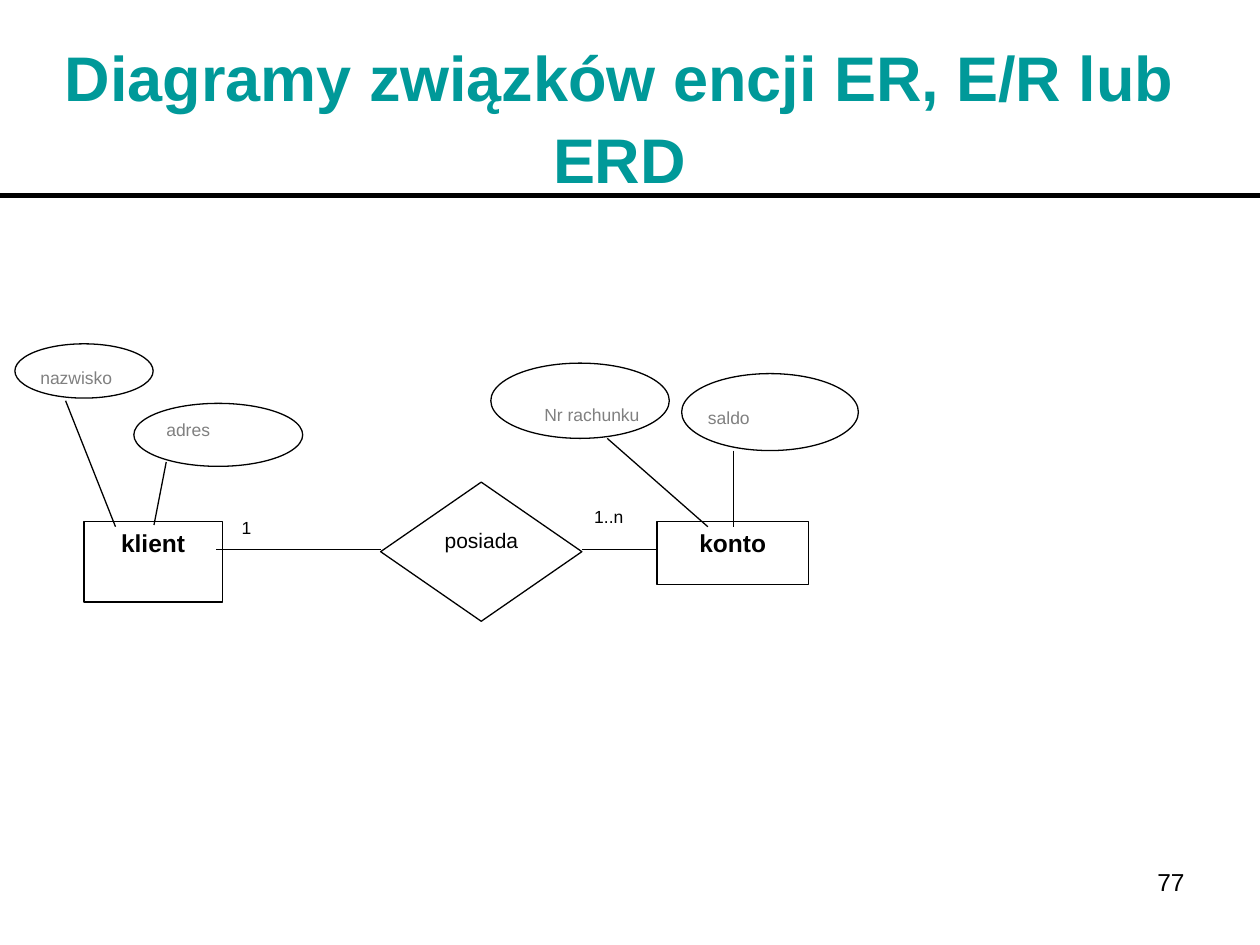
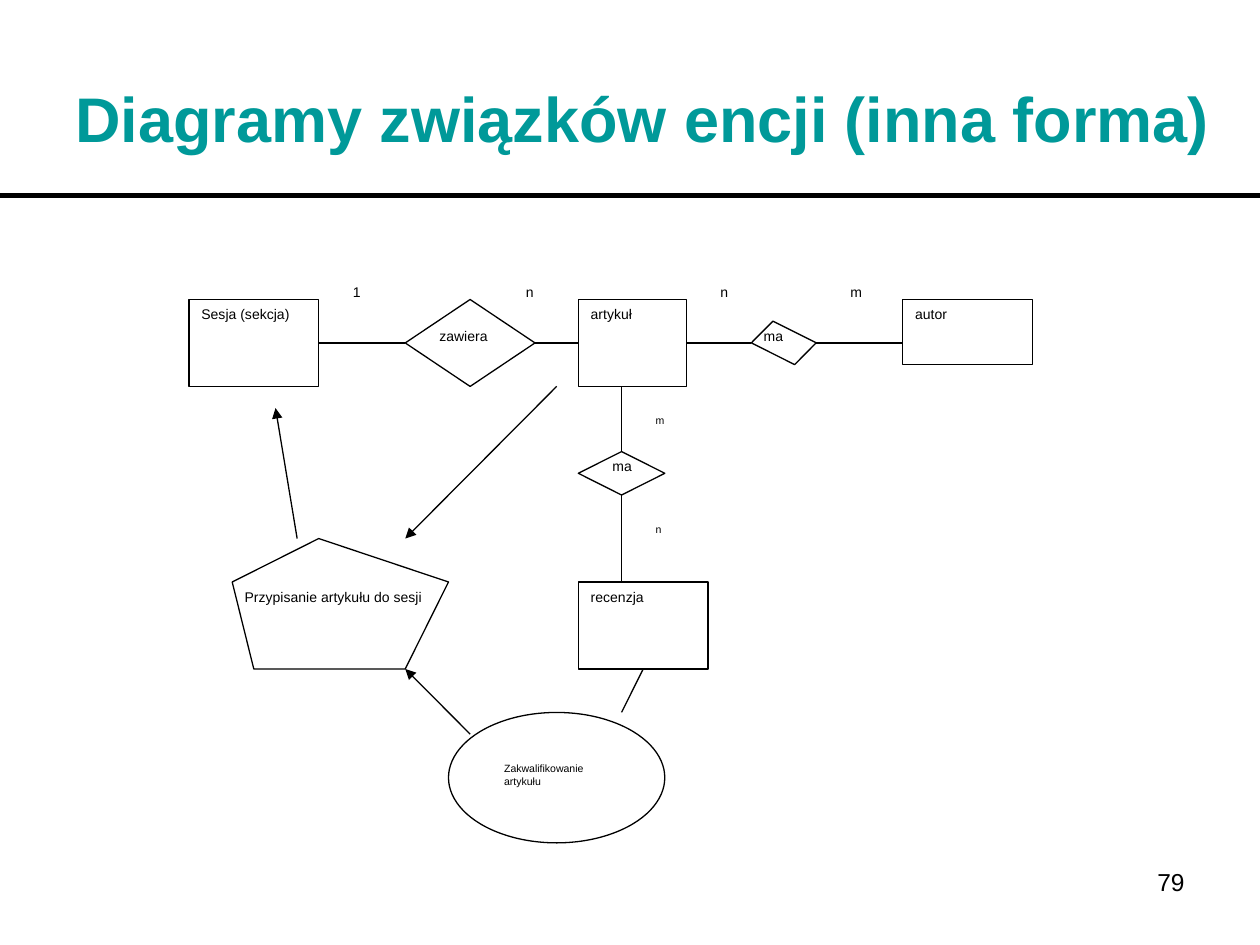
from lxml import etree
from pptx import Presentation
from pptx.dml.color import RGBColor
from pptx.enum import shapes, text
from pptx.oxml import ns
from pptx.util import Pt

COLORS = {"title": "009999", "ink": "000000", "paper": "FFFFFF"}
FONT = "Arial"
SHAPE = shapes.MSO_SHAPE
LEFT, CENTER, RIGHT = text.PP_ALIGN.LEFT, text.PP_ALIGN.CENTER, text.PP_ALIGN.RIGHT

KINDS = {
    "entity": dict(shape=SHAPE.RECTANGLE, line=True, fill=True, sites=True),
    "label": dict(shape=SHAPE.RECTANGLE, line=False, fill=True, sites=False),
    "relation": dict(shape=SHAPE.DIAMOND, line=True, fill=False, sites=True),
    "attribute": dict(shape=SHAPE.OVAL, line=True, fill=True, sites=False, alpha=50),
    "process": dict(shape=SHAPE.OVAL, line=True, fill=True, sites=False),
}

SLIDES = [
    dict(
        title="Diagramy związków encji ER, E/R lub ERD", title_left=0, title_width=708,
        number="77", origin=(0, 0), unit=(1, 1), size=10,
        entity=dict(size=14, bold=True, align=CENTER),
        nodes=[
            ("label", 16, 206, 58, 22, "nazwisko"),
            ("label", 88, 236, 65, 22, "adres"),
            ("label", 304, 227.5, 79, 29, "Nr rachunku"),
            ("label", 397.5, 229, 50, 22, "saldo"),
            ("attribute", 8.5, 196.5, 79, 31, ""),
            ("attribute", 76.5, 230.5, 96.5, 36, ""),
            ("attribute", 280.5, 207.5, 102, 43, ""),
            ("attribute", 389.5, 213.5, 101, 44, ""),
            ("entity", 48, 298, 79, 46, "klient"),
            ("entity", 375.5, 298, 86.5, 36, "konto"),
            ("relation", 217.5, 275.5, 115, 79.5, ""),
            ("label", 247, 298, 57, 28, "posiada", 12),
            ("label", 131, 292, 29, 14.5, "1"),
            ("label", 332.5, 285.5, 36, 22, "1..n"),
        ],
        outlines=[],
        links=[
            ((37.5, 229), (66, 301)), ((95, 264), (88, 300)),
            ((217.5, 314), (123.5, 314)), ((332.5, 314), (375.5, 314)),
            ((347, 250.5), (404.5, 301)), ((419, 257.5), (419, 301)),
        ],
        arrows=[],
    ),
    dict(
        title="Diagramy związków encji (inna forma)", title_left=14.4, title_width=705.6,
        number="79", origin=(108, 158.7), unit=(12.36, 12.42), size=8, entity={},
        nodes=[
            ("entity", 0, 1, 6, 4, "Sesja (sekcja)"),
            ("label", 11, 2, 5, 2, "zawiera"),
            ("entity", 18, 1, 5, 4, "artykuł"),
            ("label", 26, 2, 3, 2, "ma"),
            ("entity", 33, 1, 6, 3, "autor"),
            ("label", 19, 8, 4, 2, "ma"),
            ("entity", 18, 14, 6, 4, "recenzja"),
            ("label", 2, 14, 10, 4, "Przypisanie artykułu do sesji"),
            ("relation", 10, 1, 6, 4, ""),
            ("relation", 18, 8, 4, 2, ""),
            ("label", 7, 0, 2, 2, "1"),
            ("label", 15, 0, 2, 2, "n"),
            ("label", 24, 0, 2, 2, "n"),
            ("label", 30, 0, 2, 2, "m"),
            ("label", 21, 6, 3, 2, "m", 6),
            ("label", 21, 11, 3, 2, "n", 6),
            ("process", 12, 20, 10, 6, ""),
            ("label", 14, 22, 5, 3, "Zakwalifikowanie artykułu", 6),
        ],
        outlines=[
            [(27, 2), (29, 3), (28, 4), (26, 3)],
            [(2, 14), (6, 12), (12, 14), (10, 18), (3, 18)],
        ],
        links=[
            ((6, 3), (10, 3)), ((16, 3), (18, 3)), ((23, 3), (26, 3)), ((29, 3), (33, 3)),
            ((20, 5), (20, 8)), ((20, 10), (20, 14)), ((21, 18), (20, 20)),
        ],
        arrows=[((5, 12), (4, 6)), ((17, 5), (10, 12)), ((13, 21), (10, 18))],
    ),
]


def rgb(name):
    return RGBColor.from_string(COLORS[name])


def write(tf, words, size, color="ink", bold=False, align=LEFT, anchor=text.MSO_ANCHOR.TOP):
    frame = dict(word_wrap=True, auto_size=text.MSO_AUTO_SIZE.NONE, vertical_anchor=anchor,
                 margin_left=Pt(7.2), margin_right=Pt(7.2),
                 margin_top=Pt(3.6), margin_bottom=Pt(3.6))
    for key, value in frame.items():
        setattr(tf, key, value)
    p = tf.paragraphs[0]
    p.alignment = align
    r = p.add_run()
    r.text = words
    for key, value in dict(name=FONT, size=Pt(size), bold=bold).items():
        setattr(r.font, key, value)
    r.font.color.rgb = rgb(color)
    return p


def style(sp, line, fill, alpha=None):
    sp.shadow.inherit = False
    if fill:
        sp.fill.solid()
        sp.fill.fore_color.rgb = rgb("paper")
    else:
        sp.fill.background()
    if alpha:
        color = sp.fill._xPr.find(".//" + ns.qn("a:srgbClr"))
        etree.SubElement(color, ns.qn("a:alpha"), val=str(alpha * 1000))
    if line:
        sp.line.color.rgb = rgb("ink")
        sp.line.width = Pt(0.75)
    else:
        sp.line.fill.background()


def add_line(s, start, end, width=0.75, arrow=False):
    c = s.shapes.add_connector(shapes.MSO_CONNECTOR.STRAIGHT, *start, *end)
    c.line.color.rgb = rgb("ink")
    c.line.width = Pt(width)
    if arrow:
        etree.SubElement(c.line._get_or_add_ln(), ns.qn("a:tailEnd"), type="triangle")
    etree.SubElement(c._element.spPr, ns.qn("a:effectLst"))
    return c


def add_frame(s, data):
    title = s.shapes.title
    place = dict(left=data["title_left"], top=20, width=data["title_width"], height=90)
    for key, value in place.items():
        setattr(title, key, Pt(value))
    p = write(title.text_frame, data["title"], 36, "title", True, CENTER,
              text.MSO_ANCHOR.MIDDLE)
    p.line_spacing = Pt(47)
    add_line(s, (0, Pt(111.6)), (Pt(720), Pt(111.6)), 3)
    box = s.shapes.add_textbox(Pt(516), Pt(492), Pt(168), Pt(37))
    write(box.text_frame, data["number"], 14, align=RIGHT)


def add_diagram(s, data):
    (x0, y0), (ux, uy) = data["origin"], data["unit"]

    def at(point):
        return Pt(x0 + point[0] * ux), Pt(y0 + point[1] * uy)

    sites = {}
    for kind, x, y, w, h, words, *size in data["nodes"]:
        look = KINDS[kind]
        sp = s.shapes.add_shape(look["shape"], *at((x, y)), Pt(w * ux), Pt(h * uy))
        style(sp, look["line"], look["fill"], look.get("alpha"))
        if words:
            font = dict(size=size[0] if size else data["size"])
            if kind == "entity":
                font.update(data["entity"])
            write(sp.text_frame, words, **font)
        if look["sites"]:
            middles = [(x + w / 2, y), (x, y + h / 2), (x + w / 2, y + h), (x + w, y + h / 2)]
            sites.update({point: (sp, i) for i, point in enumerate(middles)})

    for points in data["outlines"]:
        corners = [at(point) for point in points]
        builder = s.shapes.build_freeform(*corners[0])
        builder.add_line_segments(corners[1:], close=True)
        style(builder.convert_to_shape(), True, False)

    for key in ("links", "arrows"):
        for start, end in data[key]:
            c = add_line(s, at(start), at(end), arrow=key == "arrows")
            if start in sites:
                c.begin_connect(*sites[start])
            if end in sites:
                c.end_connect(*sites[end])


def main():
    prs = Presentation()
    prs.slide_width, prs.slide_height = Pt(720), Pt(540)
    for data in SLIDES:
        s = prs.slides.add_slide(prs.slide_layouts[5])
        add_frame(s, data)
        add_diagram(s, data)
    prs.save("out.pptx")


if __name__ == "__main__":
    main()
